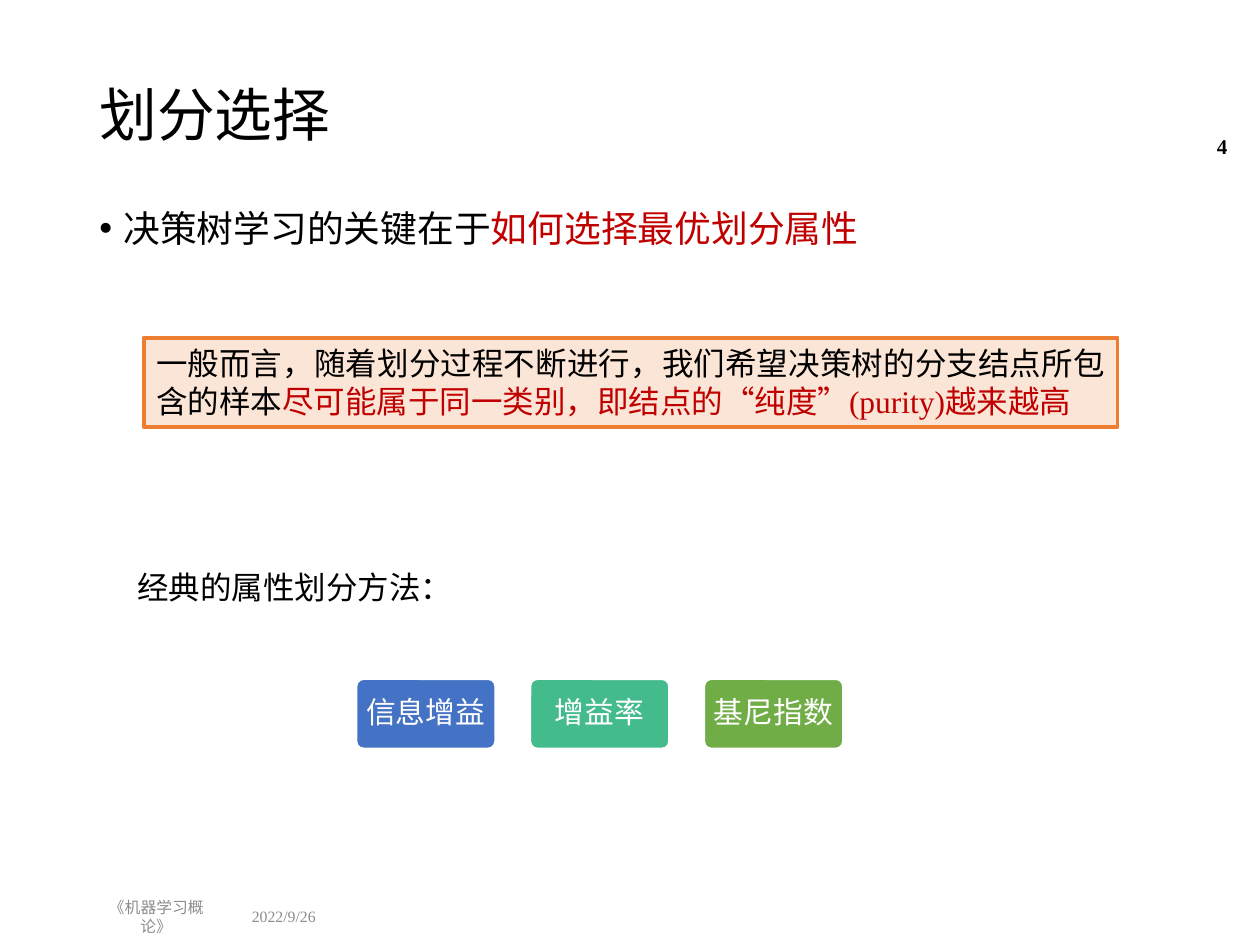
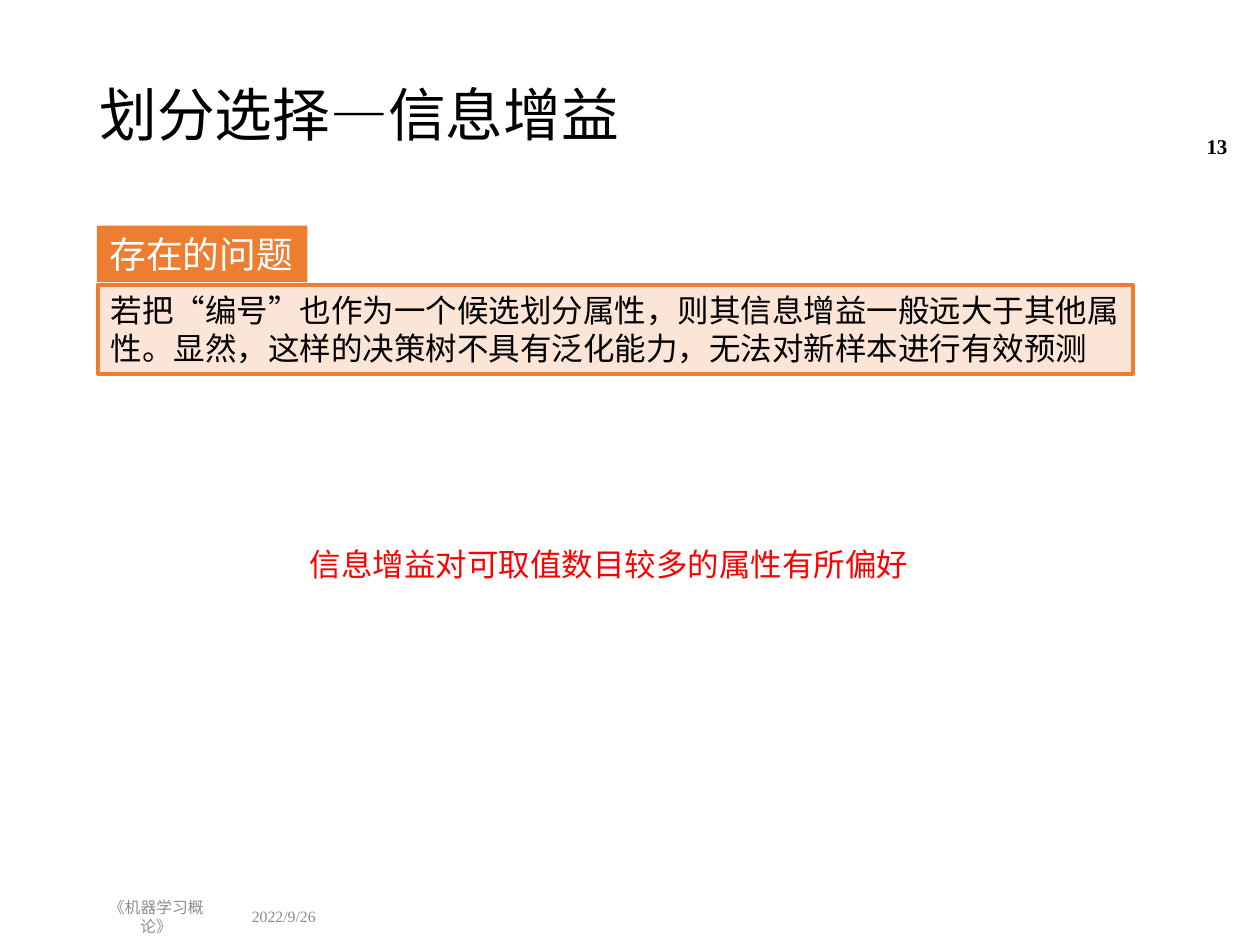
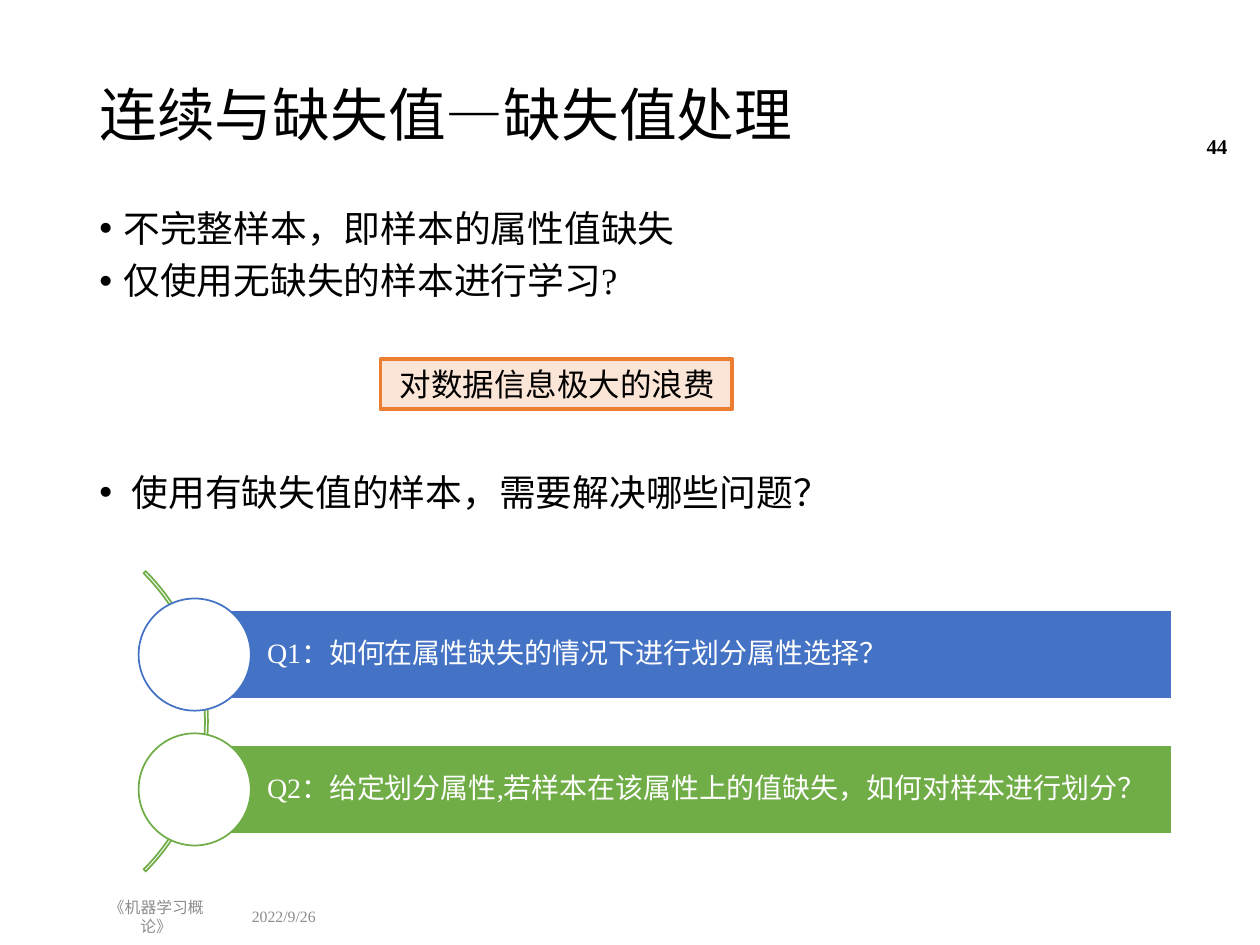
from lxml import etree
from pptx import Presentation
from pptx.dml.color import RGBColor
from pptx.enum.lang import MSO_LANGUAGE_ID
from pptx.enum.shapes import MSO_SHAPE
from pptx.enum.text import MSO_ANCHOR, MSO_AUTO_SIZE, PP_ALIGN
from pptx.oxml.ns import qn
from pptx.util import Pt

PX = 9144
FONT = "Times New Roman"
COLORS = {
    "black": "000000", "white": "FFFFFF", "gray": "8C8C8C",
    "crimson": "C00000", "red": "FF0000", "orange": "ED7D31",
    "peach": "FBE5D6", "blue": "4472C4", "teal": "43BB8D", "green": "70AD47",
}
CHINESE = MSO_LANGUAGE_ID.SIMPLIFIED_CHINESE
RECT = MSO_SHAPE.RECTANGLE
ROUNDED = MSO_SHAPE.ROUNDED_RECTANGLE
OVAL = MSO_SHAPE.OVAL
ARC = MSO_SHAPE.BLOCK_ARC
TOP, MIDDLE = MSO_ANCHOR.TOP, MSO_ANCHOR.MIDDLE
LEFT, CENTER, RIGHT, JUSTIFY = PP_ALIGN.LEFT, PP_ALIGN.CENTER, PP_ALIGN.RIGHT, PP_ALIGN.JUSTIFY
GROW = MSO_AUTO_SIZE.SHAPE_TO_FIT_TEXT

TITLE_BOX = (69, 40, 862, 107)
BODY_BOX = (69, 162, 862, 539)
COURSE_BOX = (69, 713, 110, 29)
DATE_BOX = (190, 713, 91, 29)
NUMBER_BOX = (915, 96, 69, 40)


def emu(box):
    return [value * PX for value in box]


def rgb(name):
    return RGBColor.from_string(COLORS[name])


def add_spans(para, spans, size, bold=False):
    for text, color in spans:
        span = para.add_run()
        span.text = text
        span.font.name = FONT
        span.font.size = Pt(size)
        span.font.bold = bold
        span.font.language_id = CHINESE
        span.font.color.rgb = rgb(color)


def write(shape, spans, size, align=LEFT, anchor=TOP, insets=(10, 5, 10, 5),
          spacing=1.0, bold=False, wrap=True, grow=False):
    frame = shape.text_frame
    frame.word_wrap = wrap
    frame.vertical_anchor = anchor
    frame.margin_left, frame.margin_top, frame.margin_right, frame.margin_bottom = emu(insets)
    if grow:
        frame.auto_size = GROW
    para = frame.paragraphs[0]
    para.alignment = align
    para.line_spacing = spacing
    add_spans(para, spans, size, bold)


def add_text(page, box, spans, size, **style):
    write(page.shapes.add_textbox(*emu(box)), spans, size, **style)


def add_block(page, kind, box, fill=None, line=None, weight=1):
    shape = page.shapes.add_shape(kind, *emu(box))
    shape.shadow.inherit = False
    if fill:
        shape.fill.solid()
        shape.fill.fore_color.rgb = rgb(fill)
    else:
        shape.fill.background()
    if line:
        shape.line.color.rgb = rgb(line)
        shape.line.width = Pt(weight)
    else:
        shape.line.fill.background()
    return shape


def add_page(deck, title, number):
    page = deck.slides.add_slide(deck.slide_layouts[6])
    add_text(page, TITLE_BOX, [(title, "black")], 33, anchor=MIDDLE, spacing=0.9)
    add_text(page, DATE_BOX, [("2022/9/26", "gray")], 9, anchor=MIDDLE)
    add_text(page, COURSE_BOX, [("《机器学习概论》", "gray")], 9, align=CENTER, anchor=MIDDLE)
    add_text(page, NUMBER_BOX, [(number, "black")], 12, align=RIGHT, anchor=MIDDLE, bold=True)
    return page


def add_bullets(page, box, items):
    frame = page.shapes.add_textbox(*emu(box)).text_frame
    frame.word_wrap = True
    for index, (spans, space_before) in enumerate(items):
        para = frame.add_paragraph() if index else frame.paragraphs[0]
        para.line_spacing = 0.9
        para.space_before = Pt(space_before)
        properties = para._p.get_or_add_pPr()
        properties.set("marL", str(19 * PX))
        properties.set("indent", str(-19 * PX))
        etree.SubElement(properties, qn("a:buFont"), typeface="Arial")
        etree.SubElement(properties, qn("a:buChar"), char="•")
        add_spans(para, spans, 21)


def add_callout(page, box, spans, align=LEFT, wrap=True):
    callout = add_block(page, RECT, box, "peach", "orange", 2.25)
    write(callout, spans, 18, align=align, wrap=wrap, grow=True)


def add_methods(page, box, methods, pitch):
    left, top, width, height = box
    for index, (name, color) in enumerate(methods):
        card = add_block(page, ROUNDED, (left + index * pitch, top, width, height), color, "white")
        card.adjustments[0] = 0.1
        write(card, [(name, "white")], 17, align=CENTER, anchor=MIDDLE,
              insets=(5, 4, 5, 4), spacing=0.9)


def add_questions(page, box, questions, pitch):
    left, top, width, height = box
    arc = add_block(page, ARC, (left - 327, top - 80, 337, 337), line="green")
    for index, value in enumerate((189, 27, 0.007)):
        arc.adjustments[index] = value
    circle = 89
    for index, (question, color) in enumerate(questions):
        row = top + index * pitch
        bar = add_block(page, RECT, (left, row, width, height), color, "white")
        write(bar, [(question, "white")], 16, anchor=MIDDLE, insets=(57, 4, 4, 4), spacing=0.9)
        add_block(page, OVAL, (left - 45, row - 9, circle, circle), "white", color)


def build_selection(deck):
    page = add_page(deck, "划分选择", "4")
    add_bullets(page, BODY_BOX, [
        ([("决策树学习的关键在于", "black"), ("如何选择最优划分属性", "crimson")], 7.5),
    ])
    add_callout(page, (114, 268, 773, 71), [
        ("一般而言，随着划分过程不断进行，我们希望决策树的分支结点所包含的样本", "black"),
        ("尽可能属于同一类别，即结点的“纯度”(purity)越来越高", "crimson"),
    ], align=JUSTIFY)
    add_text(page, (99, 446, 273, 40), [("经典的属性划分方法：", "black")], 18,
             wrap=False, grow=True)
    add_methods(page, (283, 539, 110, 55),
                [("信息增益", "blue"), ("增益率", "teal"), ("基尼指数", "green")], 138)


def build_gain_problem(deck):
    page = add_page(deck, "划分选择—信息增益", "13")
    label = add_block(page, RECT, (77, 179, 167, 45), "orange")
    write(label, [("存在的问题", "white")], 21, wrap=False, grow=True)
    add_callout(page, (78, 226, 821, 71), [
        ("若把“编号”也作为一个候选划分属性，则其信息增益一般远大于其他属性。"
         "显然，这样的决策树不具有泛化能力，无法对新样本进行有效预测", "black"),
    ])
    add_text(page, (236, 428, 500, 40), [("信息增益对可取值数目较多的属性有所偏好", "red")], 18,
             wrap=False, grow=True)


def build_missing_values(deck):
    page = add_page(deck, "连续与缺失值—缺失值处理", "44")
    add_bullets(page, BODY_BOX, [
        ([("不完整样本，即样本的属性值缺失", "black")], 7.5),
        ([("仅使用无缺失的样本进行学习?", "black")], 7.5),
        ([(" 使用有缺失值的样本，需要解决哪些问题？", "black")], 98),
    ])
    add_callout(page, (302, 285, 279, 40), [(" 对数据信息极大的浪费", "black")], wrap=False)
    add_questions(page, (155, 484, 775, 71), [
        ("Q1：如何在属性缺失的情况下进行划分属性选择？", "blue"),
        ("Q2：给定划分属性,若样本在该属性上的值缺失，如何对样本进行划分？", "green"),
    ], 107)


def main():
    deck = Presentation()
    deck.slide_width, deck.slide_height = emu((1000, 750))
    build_selection(deck)
    build_gain_problem(deck)
    build_missing_values(deck)
    deck.save("out.pptx")


if __name__ == "__main__":
    main()
